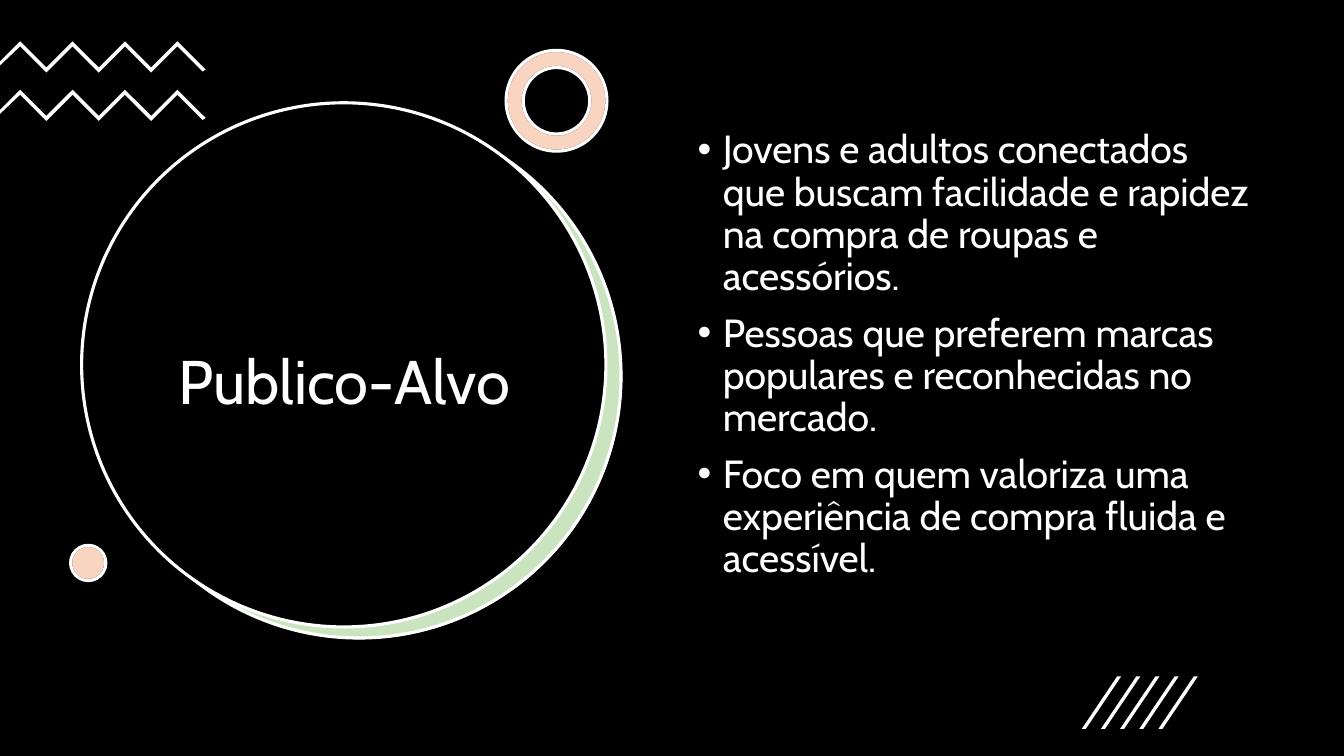
from lxml import etree
from pptx import Presentation
from pptx import util as u
from pptx.dml.color import RGBColor
from pptx.enum import shapes, text
from pptx.oxml import ns

PX = 9144
FONT = "Cabin"
BLACK = RGBColor(0x00, 0x00, 0x00)
WHITE = RGBColor(0xFF, 0xFF, 0xFF)
GREEN = RGBColor(0x4E, 0xA7, 0x2E)
ORANGE = RGBColor(0xE9, 0x71, 0x32)
TITLE = "Publico-Alvo"
AUDIENCES = [
    "Jovens e adultos conectados que buscam facilidade e rapidez na compra de roupas e acessórios.",
    "Pessoas que preferem marcas populares e reconhecidas no mercado.",
    "Foco em quem valoriza uma experiência de compra fluida e acessível.",
]


def paint(shape, fill, line=None, opacity=100):
    """Set the fill, outline and opacity of a shape."""
    shape.shadow.inherit = False
    shape.fill.solid()
    shape.fill.fore_color.rgb = fill
    if opacity < 100:
        color = shape.fill._xPr.find(".//" + ns.qn("a:srgbClr"))
        etree.SubElement(color, ns.qn("a:alpha"), val=str(opacity * 1000))
    if line is None:
        shape.line.fill.background()
    else:
        shape.line.color.rgb = line
        shape.line.width = u.Pt(2.25)


def add_preset(slide, kind, box, fill, line=None, opacity=100):
    """Add a painted preset shape in a px box."""
    shape = slide.shapes.add_shape(kind, *(length * PX for length in box))
    paint(shape, fill, line, opacity)
    return shape


def add_polygon(slide, points):
    """Add a closed white polygon through px points."""
    builder = slide.shapes.build_freeform(*points[0], scale=PX)
    builder.add_line_segments(points[1:], close=True)
    paint(builder.convert_to_shape(), WHITE)


def add_text(slide, box, lines, size, anchor):
    """Add a wrapped white text box and return its paragraphs."""
    shape = slide.shapes.add_textbox(*(length * PX for length in box))
    frame = shape.text_frame
    frame.word_wrap = True
    frame.vertical_anchor = anchor
    frame.text = "\n".join(lines)
    for paragraph in frame.paragraphs:
        paragraph.line_spacing = 0.9
        font = paragraph.runs[0].font
        font.name, font.size, font.color.rgb = FONT, u.Pt(size), WHITE
    return frame.paragraphs


def add_title_circle(slide, left, top, size):
    """Draw the title circle with its green crescent."""
    oval = shapes.MSO_SHAPE.OVAL
    add_preset(slide, oval, (left + 16, top + 12, size, size), WHITE)
    add_preset(slide, oval, (left + 15, top + 11, size, size), GREEN, WHITE, 30)
    add_preset(slide, oval, (left, top, size, size), BLACK, WHITE)
    box = (left + 40, top + 103, 441, 352)
    title, = add_text(slide, box, [TITLE], 44, text.MSO_ANCHOR.MIDDLE)
    title.alignment = text.PP_ALIGN.CENTER


def add_zigzags(slide, left, top):
    """Draw two zigzag bands, one below the other."""
    for y in (top, top + 48):
        peaks = [(left + 20 + 26 * i, y + 26 * (i % 2)) for i in range(7)]
        tip = [(left + 204, y + 28), (left + 201, y + 30)]
        lower = [(x, peak + 5) for x, peak in reversed(peaks)]
        add_polygon(slide, peaks + tip + lower + [(left, y + 24), (left, y + 20)])


def add_accent(slide, kind, left, top, size, thickness=None):
    """Draw a peach accent over a white base."""
    for fill, line, opacity in ((WHITE, BLACK, 100), (ORANGE, WHITE, 30)):
        shape = add_preset(slide, kind, (left, top, size, size), fill, line, opacity)
        if thickness:
            shape.adjustments[0] = thickness / size


def add_audience_list(slide, box):
    """Write the bulleted list of audiences."""
    for paragraph in add_text(slide, box, AUDIENCES, 28, text.MSO_ANCHOR.TOP):
        paragraph.space_before = u.Pt(10)
        properties = paragraph._p.get_or_add_pPr()
        properties.set("marL", str(25 * PX))
        properties.set("indent", str(-25 * PX))
        etree.SubElement(properties, ns.qn("a:buFont"), typeface="Arial")
        etree.SubElement(properties, ns.qn("a:buChar"), char="•")


def add_slashes(slide, left, top):
    """Draw a row of five slanted strokes."""
    bottom = top + 52
    for i in range(5):
        x = left + 19 * i
        add_polygon(slide, [(x + 4, bottom), (x, bottom), (x + 35, top), (x + 39, top)])


def build_audience_slide(presentation):
    """Build the target audience slide."""
    slide = presentation.slides.add_slide(presentation.slide_layouts[6])
    add_preset(slide, shapes.MSO_SHAPE.RECTANGLE, (0, 0, 1333, 750), BLACK)
    add_title_circle(slide, 81, 102, 520)
    add_zigzags(slide, 0, 41)
    add_accent(slide, shapes.MSO_SHAPE.DONUT, 502, 50, 100, 17)
    add_accent(slide, shapes.MSO_SHAPE.OVAL, 70, 541, 35)
    add_audience_list(slide, (682, 124, 571, 476))
    add_slashes(slide, 1073, 671)


def main():
    """Create and save the presentation."""
    presentation = Presentation()
    presentation.slide_width = 1333 * PX
    presentation.slide_height = 750 * PX
    build_audience_slide(presentation)
    presentation.save("out.pptx")


if __name__ == "__main__":
    main()
